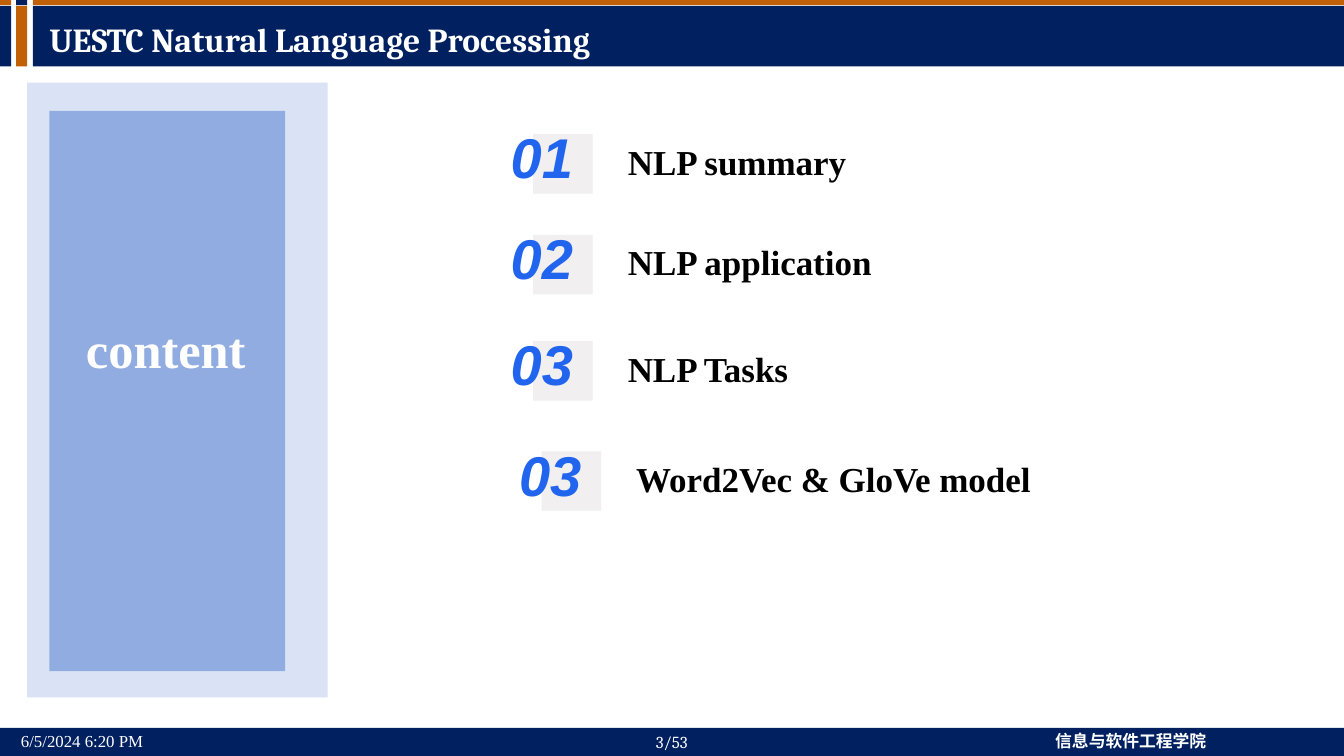
from dataclasses import dataclass

from lxml.etree import SubElement
from pptx import Presentation
from pptx.dml.color import RGBColor
from pptx.enum.shapes import MSO_SHAPE as Preset
from pptx.enum.text import MSO_ANCHOR as Anchor, MSO_AUTO_SIZE as AutoSize, PP_ALIGN as Align
from pptx.oxml.ns import qn
from pptx.util import Inches, Pt

COLUMNS, ROWS = 160, 90


@dataclass(frozen=True)
class TextStyle:
    font: str
    size: int
    color: str
    bold: bool = False
    italic: bool = False
    align: Align = Align.LEFT


@dataclass(frozen=True)
class Theme:
    navy: str = "002060"
    orange: str = "C16007"
    white: str = "FFFFFF"
    panel_outer: str = "DAE3F5"
    panel_inner: str = "91ACE0"
    tile: str = "F1EFEF"
    title: TextStyle = TextStyle("Cambria", 24, "FFFFFF", bold=True)
    date: TextStyle = TextStyle("Times New Roman", 12, "FFFFFF")
    school: TextStyle = TextStyle("Noto Sans CJK SC", 12, "FFFFFF", bold=True)
    page_number: TextStyle = TextStyle("Cambria", 12, "FFFFFF", align=Align.CENTER)
    heading: TextStyle = TextStyle("Times New Roman", 36, "FFFFFF", bold=True, align=Align.CENTER)
    topic: TextStyle = TextStyle("Times New Roman", 25, "000000", bold=True)
    number: TextStyle = TextStyle("Arial", 40, "2164ED", bold=True, italic=True, align=Align.CENTER)


class SlideBuilder:
    def __init__(self, deck, theme):
        self.theme = theme
        self.column = deck.slide_width / COLUMNS
        self.row = deck.slide_height / ROWS
        self.page = deck.slides.add_slide(deck.slide_layouts[5])

    def place(self, left, top, width, height):
        """Turn grid columns and rows into slide lengths."""
        return (round(left * self.column), round(top * self.row),
                round(width * self.column), round(height * self.row))

    def fill_text(self, frame, text, style):
        paragraph = frame.paragraphs[0]
        paragraph.text = text
        paragraph.alignment = style.align
        font = paragraph.font
        font.size, font.bold, font.italic = Pt(style.size), style.bold, style.italic
        font.color.rgb = RGBColor.from_string(style.color)
        font.name = style.font
        defaults = paragraph._p.get_or_add_pPr().find(qn("a:defRPr"))
        SubElement(defaults, qn("a:ea"), typeface=style.font)
        return paragraph

    def title(self, text, *cell):
        box = self.page.shapes.title
        box.left, box.top, box.width, box.height = self.place(*cell)
        frame = box.text_frame
        frame.auto_size = AutoSize.NONE
        frame.vertical_anchor = Anchor.MIDDLE
        self.fill_text(frame, text, self.theme.title).line_spacing = 0.9
        self.page.shapes.element.append(box.element)  # in front of the header bars

    def rectangle(self, color, *cell):
        shape = self.page.shapes.add_shape(Preset.RECTANGLE, *self.place(*cell))
        shape.shadow.inherit = False
        shape.fill.solid()
        shape.fill.fore_color.rgb = RGBColor.from_string(color)
        shape.line.fill.background()
        return shape

    def text(self, text, style, *cell, wrap=False):
        box = self.page.shapes.add_textbox(*self.place(*cell))
        frame = box.text_frame
        frame.word_wrap = wrap
        frame.auto_size = AutoSize.SHAPE_TO_FIT_TEXT
        self.fill_text(frame, text, style)
        return box

    def stripe(self, left, width, band_color, cap_color):
        """Draw a header band with a thin cap of another colour above it."""
        self.rectangle(band_color, left, 0.72, width, 7.2)
        self.rectangle(cap_color, left, 0, width, 0.6)

    def agenda_item(self, number, topic, left, top, topic_width):
        theme = self.theme
        self.page.shapes.add_group_shape([
            self.rectangle(theme.tile, left, top, 7.08, 7.08),
            self.text(topic, theme.topic, left + 10.08, top + 0.12, topic_width, 6.24),
            self.text(number, theme.number, left - 3.96, top - 1.92, 9.96, 9.24),
        ])


def main():
    deck = Presentation()
    deck.slide_width, deck.slide_height = Inches(13.33), Inches(7.5)
    theme = Theme()
    slide = SlideBuilder(deck, theme)

    slide.rectangle(theme.navy, 0, 86.64, COLUMNS, 3.36)
    slide.rectangle(theme.white, 0, 0, COLUMNS, 11.16)
    slide.stripe(3.92, 156.08, theme.navy, theme.orange)
    slide.stripe(1.92, 1.32, theme.orange, theme.navy)
    slide.stripe(0, 1.32, theme.navy, theme.orange)
    slide.text("6/5/2024 6:20 PM", theme.date, 1.32, 86.4, 18.12, 3.6)
    slide.text("信息与软件工程学院", theme.school, 124.44, 86.4, 20.4, 3.6)
    slide.text("3/53", theme.page_number, 74.4, 86.52, 11.16, 3.6, wrap=True)
    slide.title("UESTC Natural Language Processing", 4.68, 1.32, 142, 7.2)

    slide.rectangle(theme.panel_outer, 3.24, 9.84, 35.76, 73.2)
    slide.rectangle(theme.panel_inner, 5.88, 13.2, 28.08, 66.72)
    slide.text("content", theme.heading, 6.24, 37.32, 27, 8.52, wrap=True)

    for item in (
        ("01", "NLP summary", 63.48, 15.96, 38.64),
        ("02", "NLP application", 63.48, 27.96, 31.8),
        ("03", "NLP Tasks", 63.48, 40.6, 21.72),
        ("03", "Word2Vec & GloVe model", 64.48, 53.72, 49.92),
    ):
        slide.agenda_item(*item)

    deck.save("out.pptx")


if __name__ == "__main__":
    main()
